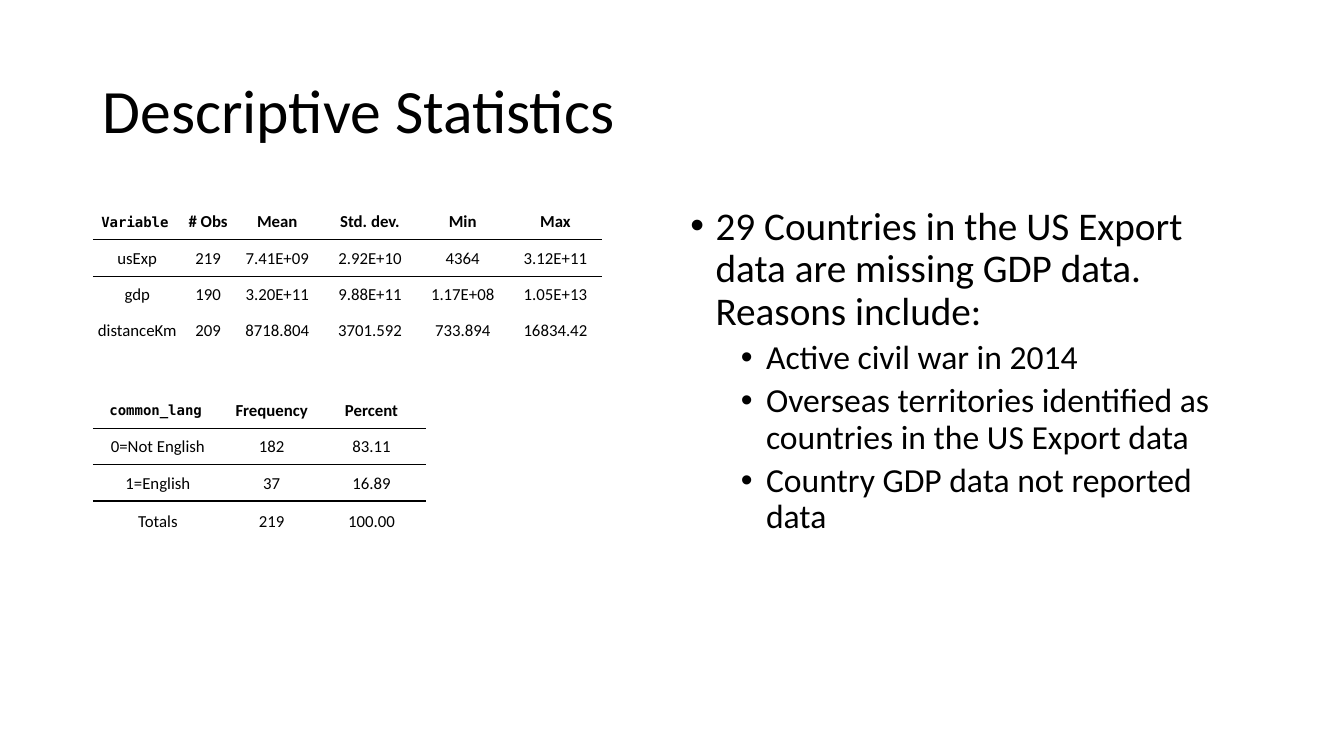
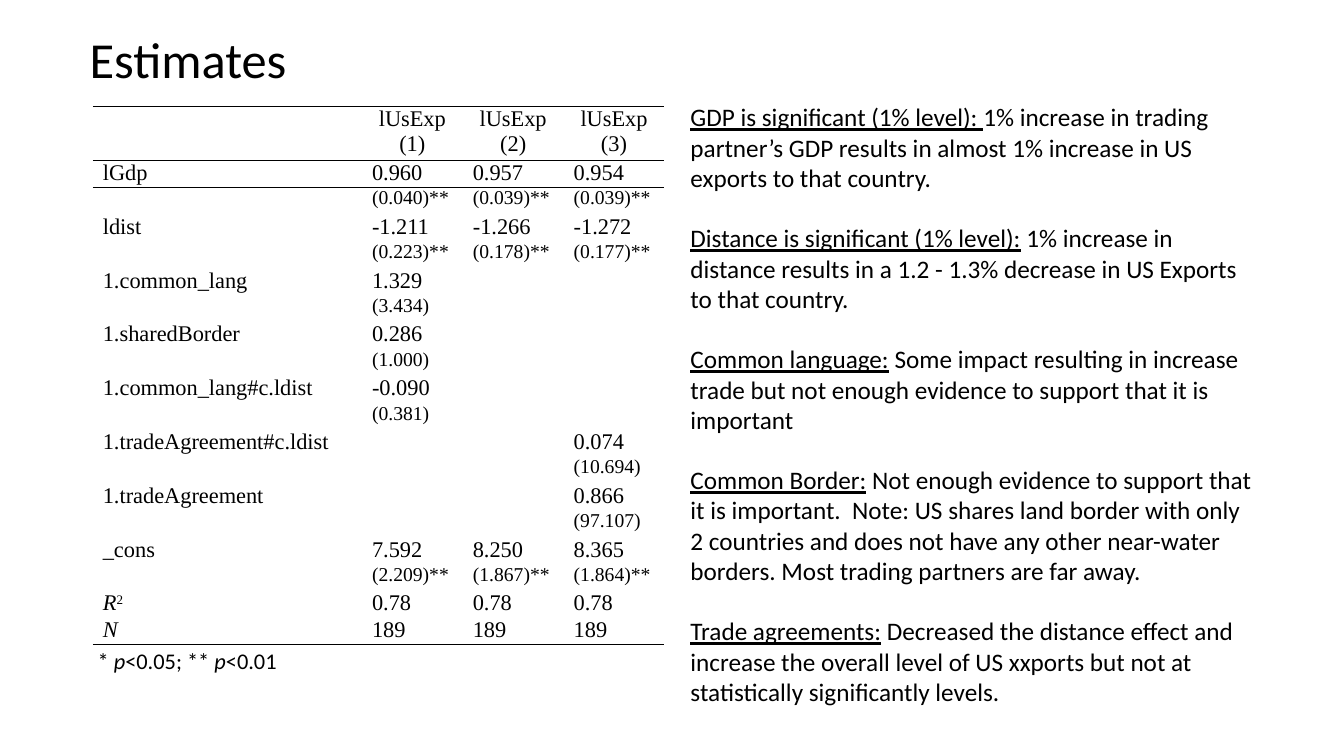
"""Build two slides on trade data: descriptive statistics and estimates."""
from lxml import etree
from pptx import Presentation
from pptx.dml.color import RGBColor
from pptx.enum import text as tx
from pptx.oxml import ns
from pptx.util import Inches, Pt


def color(code):
    return RGBColor.from_string(code)


def child(parent, tag, **attrs):
    return etree.SubElement(parent, ns.qn(tag), attrs)


class Deck:
    """Holds the style and the current slide."""

    ink = "000000"
    sans, serif, mono = "Calibri", "Times New Roman", "DejaVu Sans Mono"
    plain = "{2D5ABB26-0587-4C30-8999-92F81FD0307C}"
    center = tx.PP_ALIGN.CENTER

    def __init__(self):
        self.show = Presentation()
        self.show.slide_width = Inches(13.33)
        self.show.slide_height = Inches(7.5)

    def page(self):
        self.slide = self.show.slides.add_slide(self.show.slide_layouts[6])

    def fill(self, para, runs, size, face=sans, bold=False):
        font = para.font
        font.size, font.name, font.bold = Pt(size), face, bold
        font.color.rgb = color(self.ink)
        for words, mark in [(runs, "")] if isinstance(runs, str) else runs:
            run = para.add_run()
            run.text = words
            if mark == "i":
                run.font.italic = True
            elif mark == "u":
                run.font.underline = True
            elif mark == "sup":
                run.font._element.set("baseline", "30000")

    def box(self, left, top, width, height, anchor=tx.MSO_ANCHOR.TOP):
        area = [Inches(n) for n in (left, top, width, height)]
        frame = self.slide.shapes.add_textbox(*area).text_frame
        frame.word_wrap = True
        frame.vertical_anchor = anchor
        return frame

    def paras(self, frame, count):
        return [frame.paragraphs[0]] + [frame.add_paragraph() for _ in range(count - 1)]

    def title(self, words, left, top, size):
        frame = self.box(left, top, 11.5, 1.45, tx.MSO_ANCHOR.MIDDLE)
        para = frame.paragraphs[0]
        para.line_spacing = 0.9
        self.fill(para, words, size)

    def bullets(self, items, *area):
        for para, (level, words) in zip(self.paras(self.box(*area), len(items)), items):
            para.level = level
            para.line_spacing = 0.9
            para.space_before = Pt(5 if level else 10)
            props = para._p.get_or_add_pPr()
            props.set("marL", str(Inches(0.25 + 0.5 * level)))
            props.set("indent", str(Inches(-0.25)))
            child(props, "a:buFont", typeface="Arial")
            child(props, "a:buChar", char="•")
            self.fill(para, words, 24 if level else 28)

    def notes(self, items, *area):
        for para, (head, body) in zip(self.paras(self.box(*area), len(items)), items):
            para.space_before = Pt(21.6)
            self.fill(para, [(head, "u"), (body, "")], 18)

    def foot(self, runs, *area):
        para = self.box(*area).paragraphs[0]
        para.line_spacing = 0.9
        self.fill(para, runs, 16)

    def table(self, left, top, widths, heights, rows, style, rules):
        """Draw a grid; rules are numbers of the row edges that get a line."""
        area = [Inches(n) for n in (left, top, sum(widths), sum(heights))]
        grid = self.slide.shapes.add_table(len(rows), len(widths), *area).table
        grid.first_row = grid.horz_banding = False
        grid._tbl.tblPr.find(ns.qn("a:tableStyleId")).text = self.plain
        for col, width in zip(grid.columns, widths):
            col.width = Inches(width)
        for row, height in zip(grid.rows, heights):
            row.height = Inches(height)
        for r, row in enumerate(rows):
            for c, words in enumerate(row):
                cell = grid.cell(r, c)
                style(cell, words, r, c)
                self.edge(cell, "a:lnT", r in rules)
                self.edge(cell, "a:lnB", r + 1 in rules)
                cell.fill.background()

    def edge(self, cell, tag, drawn):
        if drawn:
            line = child(cell._tc.get_or_add_tcPr(), tag, w=str(Pt(1)))
            child(child(line, "a:solidFill"), "a:srgbClr", val=self.ink)

    def inset(self, cell, side, top, low):
        cell.margin_left = cell.margin_right = Inches(side)
        cell.margin_top, cell.margin_bottom = Inches(top), Inches(low)

    def stat(self, cell, words, r, c):
        self.inset(cell, 0.01, 0.01, 0)
        cell.vertical_anchor = tx.MSO_ANCHOR.MIDDLE
        para = cell.text_frame.paragraphs[0]
        para.alignment = self.center
        code = r == 0 and c == 0
        self.fill(para, words, 10 if code else 12, self.mono if code else self.sans, r == 0)

    def model(self, cell, words, r, c):
        self.inset(cell, 0.1, 0, 0)
        para = cell.text_frame.paragraphs[0]
        if not words:
            child(para._p, "a:endParaRPr", sz="1400")
            return
        if r == 0:
            para.alignment = self.center
        self.fill(para, words, 14 if words[0] == "(" else 16, self.serif)


deck = Deck()

deck.page()
deck.title("Descriptive Statistics", 0.92, 0.4, 44)
deck.table(0.92, 2.02, [0.92, 0.45] + [0.92] * 4, [0.36] * 4, [
    ["Variable ", "# Obs", "Mean", "Std. dev.", "Min", "Max"],
    ["usExp ", "219", "7.41E+09", "2.92E+10", "4364", "3.12E+11"],
    ["gdp ", "190", "3.20E+11", "9.88E+11", "1.17E+08", "1.05E+13"],
    ["distanceKm ", "209", "8718.804", "3701.592", "733.894", "16834.42"],
], deck.stat, {1})
deck.bullets([
    (0, "29 Countries in the US Export data are missing GDP data. Reasons include:"),
    (1, "Active civil war in 2014"),
    (1, "Overseas territories identified as countries in the US Export data"),
    (1, "Country GDP data not reported data"),
], 6.75, 2, 5.67, 4.76)
deck.table(0.92, 3.89, [1.33, 0.89, 1.09], [0.36] * 3 + [0.41], [
    ["common_lang ", "Frequency", "Percent"],
    ["0=Not English ", "182", "83.11"],
    ["1=English ", "37", "16.89"],
    ["Totals ", "219", "100.00"],
], deck.stat, {1, 3})

deck.page()
deck.title("Estimates", 0.79, -0.11, 36)
deck.foot([("* ", ""), ("p", "i"), ("<0.05; ** ", ""), ("p", "i"), ("<0.01", "")],
          0.87, 6.4, 4.38, 0.48)
deck.notes([
    ("GDP is significant (1% level): ",
     "1% increase in trading partner’s GDP results in almost 1% increase "
     "in US exports to that country."),
    ("Distance is significant (1% level):",
     " 1% increase in distance results in a 1.2 - 1.3% decrease in US Exports "
     "to that country."),
    ("Common language:",
     " Some impact resulting in increase trade but not enough evidence to support "
     "that it is important"),
    ("Common Border:",
     " Not enough evidence to support that it is important.  Note: US shares land "
     "border with only 2 countries and does not have any other near-water borders. "
     "Most trading partners are far away."),
    ("Trade agreements:",
     " Decreased the distance effect and increase the overall level of US xxports "
     "but not at statistically significantly levels."),
], 6.75, 0.96, 5.79, 6.16)
deck.table(0.92, 1.06, [2.67] + [1] * 3, [0.53] + [4.8 / 18] * 18, [
    ["", "lUsExp (1)", "lUsExp (2)", "lUsExp (3)"],
    ["lGdp", "0.960", "0.957", "0.954"],
    ["", "(0.040)**", "(0.039)**", "(0.039)**"],
    ["ldist", "-1.211", "-1.266", "-1.272"],
    ["", "(0.223)**", "(0.178)**", "(0.177)**"],
    ["1.common_lang", "1.329", "", ""],
    ["", "(3.434)", "", ""],
    ["1.sharedBorder", "0.286", "", ""],
    ["", "(1.000)", "", ""],
    ["1.common_lang#c.ldist", "-0.090", "", ""],
    ["", "(0.381)", "", ""],
    ["1.tradeAgreement#c.ldist", "", "", "0.074"],
    ["", "", "", "(10.694)"],
    ["1.tradeAgreement", "", "", "0.866"],
    ["", "", "", "(97.107)"],
    ["_cons", "7.592", "8.250", "8.365"],
    ["", "(2.209)**", "(1.867)**", "(1.864)**"],
    [[("R", "i"), ("2", "sup")], "0.78", "0.78", "0.78"],
    [[("N", "i")], "189", "189", "189"],
], deck.model, {0, 1, 19})

deck.show.save("out.pptx")
